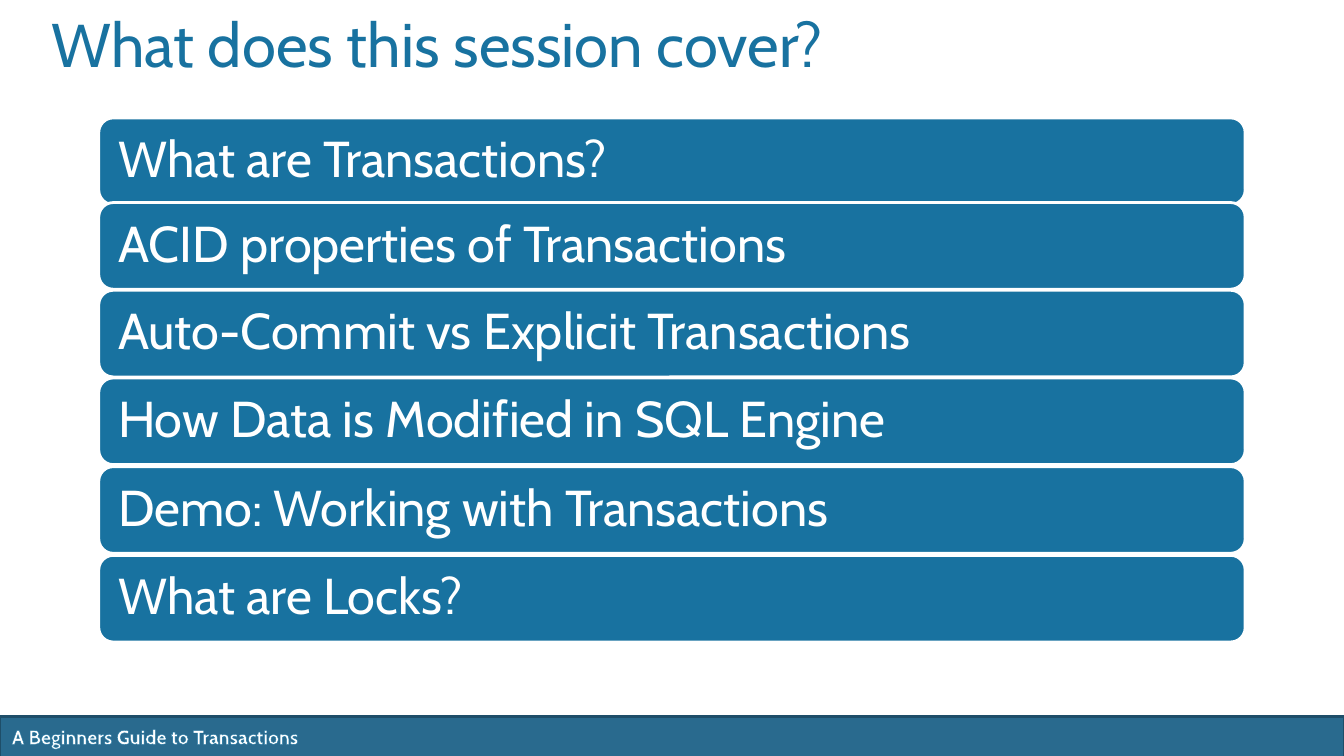
from dataclasses import dataclass

from lxml.etree import SubElement
from pptx import Presentation
from pptx.dml.color import RGBColor
from pptx.enum.shapes import MSO_SHAPE as Preset
from pptx.enum.text import MSO_ANCHOR as Anchor, MSO_AUTO_SIZE as AutoSize, PP_ALIGN as Align
from pptx.oxml.ns import qn
from pptx.shapes.autoshape import Shape
from pptx.slide import Slide
from pptx.text.text import _Run as Span
from pptx.util import Inches, Pt

WHITE = RGBColor(0xFF, 0xFF, 0xFF)
BLUE = RGBColor(0x18, 0x72, 0xA0)
FOOTER_FILL = RGBColor(0x29, 0x6A, 0x8E)
FOOTER_LINE = RGBColor(0x1E, 0x4E, 0x69)
FONT = "Cabin"


@dataclass(frozen=True)
class Frame:
    left: float
    top: float
    width: float
    height: float

    def lengths(self) -> list[int]:
        return [Inches(n) for n in (self.left, self.top, self.width, self.height)]


@dataclass(frozen=True)
class Topic:
    top: float
    text: str


TOPICS = [
    Topic(1.17, "What are Transactions?"),
    Topic(2.01, "ACID properties of Transactions"),
    Topic(2.88, "Auto-Commit vs Explicit Transactions"),
    Topic(3.75, "How Data is Modified in SQL Engine"),
    Topic(4.63, "Demo: Working with Transactions"),
    Topic(5.51, "What are Locks?"),
]


def add_bar(page: Slide, preset: Preset, frame: Frame, fill: RGBColor, line: RGBColor) -> Shape:
    bar = page.shapes.add_shape(preset, *frame.lengths())
    bar.shadow.inherit = False
    bar.fill.solid()
    bar.fill.fore_color.rgb = fill
    bar.line.color.rgb = line
    bar.line.width = Pt(2)
    return bar


def write(box: Shape, text: str, size: float, color: RGBColor, bold: bool = False,
          spacing: float | Pt = 1.0) -> Span:
    """Put one left-aligned line of text in the box."""
    box.text_frame.word_wrap = True
    para = box.text_frame.paragraphs[0]
    para.alignment = Align.LEFT
    para.line_spacing = spacing
    span = para.add_run()
    span.text = text
    span.font.color.rgb = color
    for name, value in {"name": FONT, "size": Pt(size), "bold": bold}.items():
        setattr(span.font, name, value)
    return span


def outline_text(span: Span, color: RGBColor, points: float) -> None:
    properties = span.font._element
    line = SubElement(properties, qn("a:ln"), w=str(Pt(points)))
    fill = SubElement(line, qn("a:solidFill"))
    SubElement(fill, qn("a:srgbClr"), val=str(color))
    properties.insert(0, line)


def add_topic(page: Slide, topic: Topic) -> None:
    bar = add_bar(page, Preset.ROUNDED_RECTANGLE, Frame(0.98, topic.top, 11.37, 0.86), BLUE, WHITE)
    layout = {"vertical_anchor": Anchor.MIDDLE}
    for side in ("left", "top", "right", "bottom"):
        layout[f"margin_{side}"] = Inches(0.15)
    for name, value in layout.items():
        setattr(bar.text_frame, name, value)
    write(bar, topic.text, 36, WHITE, spacing=0.9)


def add_footer(page: Slide) -> None:
    add_bar(page, Preset.RECTANGLE, Frame(0, 7.11, 13.33, 0.4), FOOTER_FILL, FOOTER_LINE)
    box = page.shapes.add_textbox(*Frame(0.02, 7.14, 6.06, 0.34).lengths())
    span = write(box, "A Beginners Guide to Transactions", 14, WHITE, bold=True)
    box.text_frame.auto_size = AutoSize.SHAPE_TO_FIT_TEXT
    outline_text(span, BLUE, 0.8)


def main() -> None:
    deck = Presentation()
    deck.slide_width, deck.slide_height = Inches(13.33), Inches(7.5)
    page = deck.slides.add_slide(deck.slide_layouts[6])
    add_footer(page)
    title = page.shapes.add_textbox(*Frame(0.41, 0.26, 12, 1.25).lengths())
    write(title, "What does this session cover?", 44, BLUE, spacing=Pt(35))
    for topic in TOPICS:
        add_topic(page, topic)
    deck.save("out.pptx")


if __name__ == "__main__":
    main()
